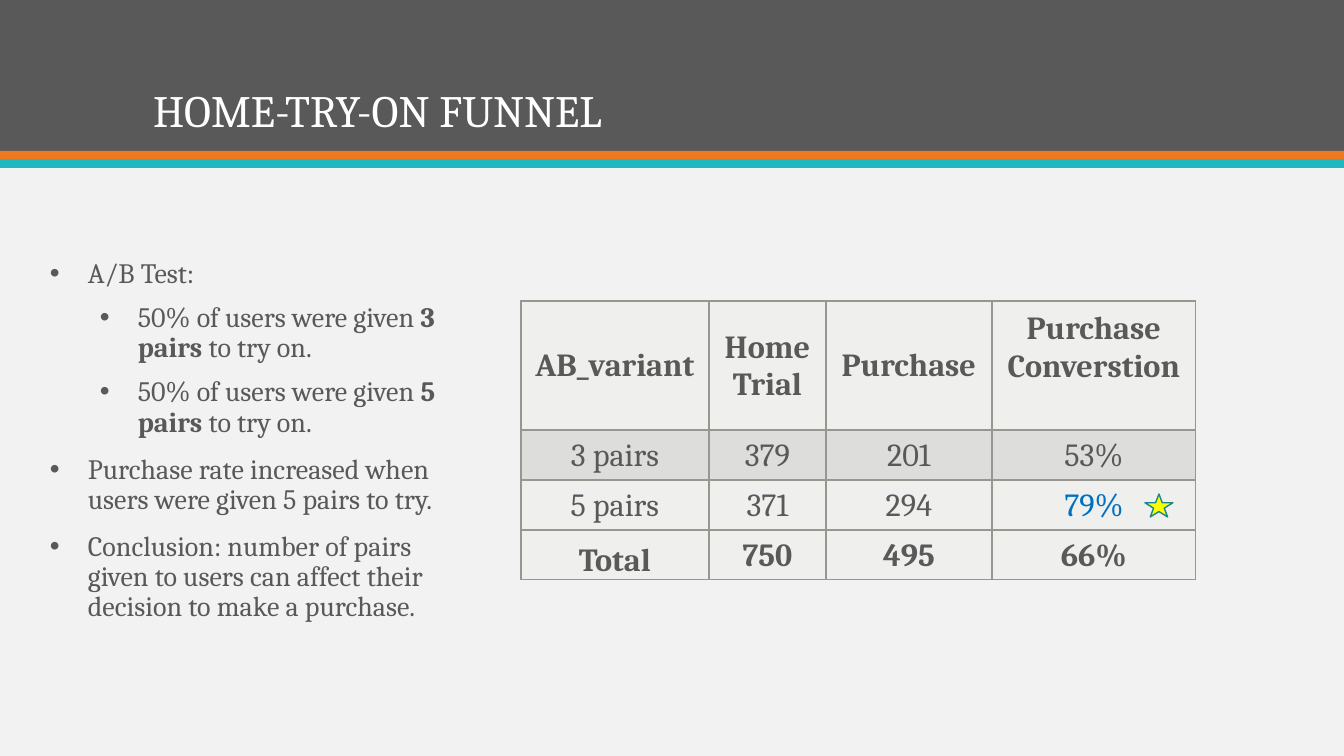
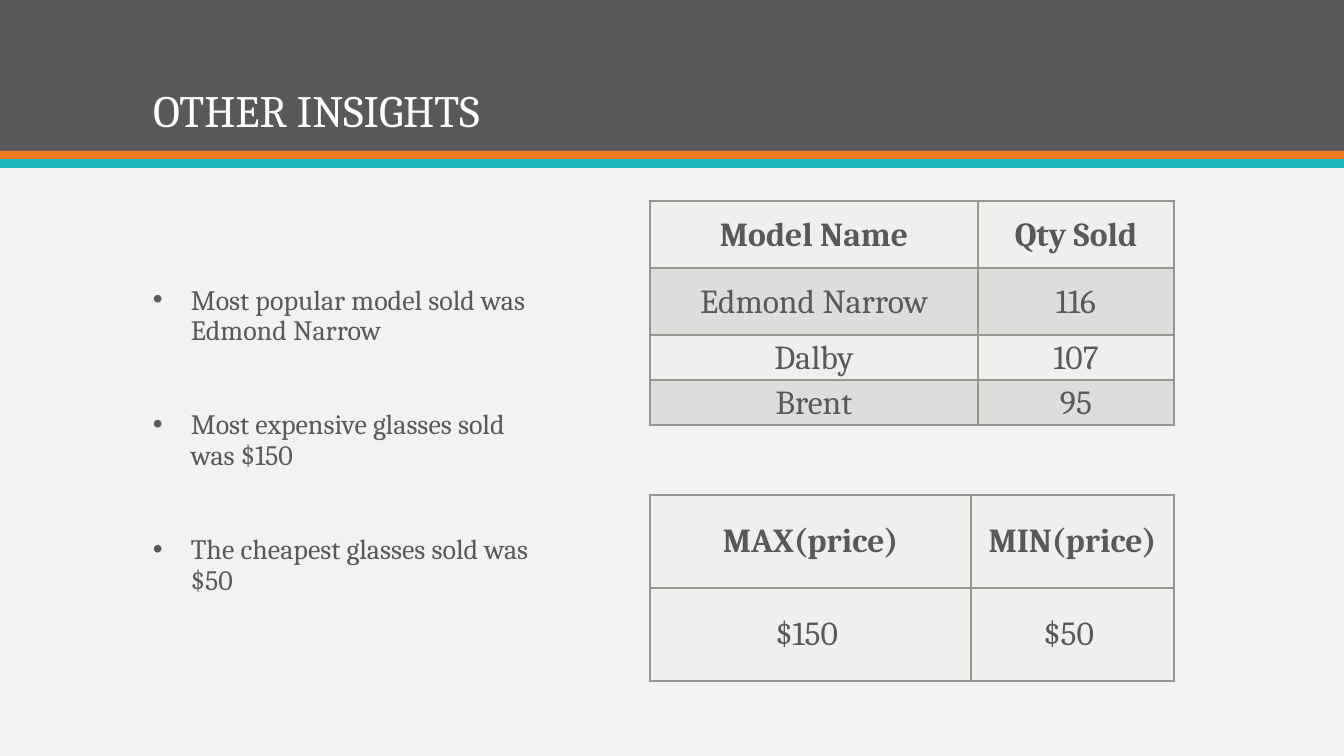
from dataclasses import dataclass

from lxml.etree import SubElement
from pptx import Presentation
from pptx.dml.color import RGBColor
from pptx.enum.shapes import MSO_SHAPE
from pptx.enum.text import MSO_ANCHOR, MSO_AUTO_SIZE, PP_ALIGN
from pptx.oxml.ns import qn
from pptx.util import Emu, Pt


@dataclass(frozen=True)
class Theme:
    font: str = "Cambria"
    background: str = "F2F2F2"
    ink: str = "595959"
    orange: str = "EF7920"
    teal: str = "1EB8C1"
    white: str = "FFFFFF"
    highlight: str = "0070C0"
    star: str = "FFFF00"
    star_edge: str = "16888F"
    grid: str = "969890"
    row_light: str = "EFEFEE"
    row_dark: str = "DDDDDB"
    title_size: int = 32
    body_size: int = 20
    line_spacing: float = 0.9


PX_PER_INCH = 100.8
WIDTH, HEIGHT = 1344, 756


def px(length):
    return Emu(round(length * 914400 / PX_PER_INCH))


def rgb(code):
    return RGBColor.from_string(code)


class Deck:
    def __init__(self, theme):
        self.theme = theme
        self.deck = Presentation()
        self.deck.slide_width = px(WIDTH)
        self.deck.slide_height = px(HEIGHT)
        self.layout = self.deck.slide_layouts.get_by_name("Title Only")
        self.page = None

    def add_page(self, title):
        self.page = self.deck.slides.add_slide(self.layout)
        if len(self.deck.slides) == 1:
            self.dress_layout()
        box = self.page.shapes.title
        box.left, box.top, box.width, box.height = map(px, (143, 28, 1058, 114))
        frame = box.text_frame
        frame.auto_size = MSO_AUTO_SIZE.NONE
        frame.vertical_anchor = MSO_ANCHOR.BOTTOM
        para = frame.paragraphs[0]
        para.alignment = PP_ALIGN.LEFT
        para.line_spacing = self.theme.line_spacing
        self.add_span(para, title, self.theme.title_size, self.theme.white)

    def dress_layout(self):
        theme = self.theme
        fill = self.layout.background.fill
        fill.solid()
        fill.fore_color.rgb = rgb(theme.background)
        bands = [(0, 151, theme.ink), (151, 8, theme.orange), (159, 9, theme.teal)]
        for position, (top, height, color) in enumerate(bands, start=2):
            band = self.add_shape(MSO_SHAPE.RECTANGLE, 0, top, WIDTH, height, color)
            self.layout.shapes.element.insert(position, band.element)

    def add_shape(self, kind, left, top, width, height, color, edge=None):
        shape = self.page.shapes.add_shape(kind, *map(px, (left, top, width, height)))
        shape.shadow.inherit = False
        shape.fill.solid()
        shape.fill.fore_color.rgb = rgb(color)
        if edge:
            shape.line.color.rgb = rgb(edge)
            shape.line.width = Pt(1)
        else:
            shape.line.fill.background()
        return shape

    def add_span(self, para, text, size, color, bold=False):
        span = para.add_run()
        span.text = text
        span.font.name = self.theme.font
        span.font.size = Pt(size)
        span.font.bold = bold
        span.font.color.rgb = rgb(color)

    def add_bullets(self, left, width, items, gap=12):
        box = self.page.shapes.add_textbox(*map(px, (left, 202, width, 478)))
        frame = box.text_frame
        frame.word_wrap = True
        frame.vertical_anchor = MSO_ANCHOR.MIDDLE
        for index, (level, spans) in enumerate(items):
            para = frame.add_paragraph() if index else frame.paragraphs[0]
            para.level = level
            para.line_spacing = self.theme.line_spacing
            para.space_before = Pt(10 if level else gap if index else 12)
            for text, bold in spans:
                self.add_span(para, text, self.theme.body_size, self.theme.ink, bold)
            properties = para._p.get_or_add_pPr()
            properties.set("marL", str(px(38 + 50 * level)))
            properties.set("indent", str(-px(38)))
            SubElement(properties, qn("a:buFont"), typeface="Arial")
            SubElement(properties, qn("a:buChar"), char="•")

    def add_table(self, left, top, widths, heights, rows, size, inset, total=False):
        frame = self.page.shapes.add_table(
            len(rows), len(widths), *map(px, (left, top, sum(widths), sum(heights))))
        table = frame.table
        table.first_row = table.horz_banding = False
        for column, width in zip(table.columns, widths):
            column.width = px(width)
        for index, (values, height) in enumerate(zip(rows, heights)):
            table.rows[index].height = px(height)
            is_total = total and index == len(rows) - 1
            color = self.theme.row_dark if index % 2 and not is_total else self.theme.row_light
            for column, text in enumerate(values):
                cell = table.cell(index, column)
                cell.fill.solid()
                cell.fill.fore_color.rgb = rgb(color)
                cell.vertical_anchor = MSO_ANCHOR.MIDDLE
                cell.margin_left = cell.margin_right = cell.margin_top = px(inset)
                cell.margin_bottom = 0
                self.add_borders(cell, 2 if is_total else 1)
                self.add_cell_text(cell, text, size, index == 0 or is_total)
        return table

    def add_cell_text(self, cell, text, size, bold, color=None):
        para = cell.text_frame.paragraphs[0]
        para.alignment = PP_ALIGN.CENTER
        for index, line in enumerate(text.split("\n")):
            if index:
                para.add_line_break()
            self.add_span(para, line, size, color or self.theme.ink, bold)

    def add_borders(self, cell, top_width):
        properties = cell._tc.get_or_add_tcPr()
        for position, side in enumerate("LRTB"):
            width = top_width if side == "T" else 1
            line = SubElement(properties, qn(f"a:ln{side}"), w=str(Pt(width)))
            fill = SubElement(line, qn("a:solidFill"))
            SubElement(fill, qn("a:srgbClr"), val=self.theme.grid)
            properties.insert(position, line)


def add_funnel(deck):
    theme = deck.theme
    deck.add_page("HOME-TRY-ON FUNNEL")
    given = "50% of users were given "
    deck.add_bullets(40, 434, [
        (0, [("A/B Test:", False)]),
        (1, [(given, False), ("3 pairs ", True), ("to try on.", False)]),
        (1, [(given, False), ("5 pairs ", True), ("to try on.", False)]),
        (0, [("Purchase rate increased when users were given 5 pairs to try.", False)]),
        (0, [("Conclusion: number of pairs given to users can affect their "
              "decision to make a purchase.", False)]),
    ])
    table = deck.add_table(521, 301, [188, 117, 166, 204], [129, 50, 50, 50], [
        ["AB_variant", "Home Trial", "Purchase", "Purchase\nConverstion"],
        ["3 pairs", "379", "201", "53%"],
        ["5 pairs", "371", "294", "79%"],
        ["Total", "750", "495", "66%"],
    ], size=23, inset=2, total=True)
    table.cell(0, 3).margin_bottom = px(37)
    table.cell(3, 0).vertical_anchor = MSO_ANCHOR.BOTTOM
    best_rate = table.cell(2, 3).text_frame.paragraphs[0].runs[0]
    best_rate.font.color.rgb = rgb(theme.highlight)
    deck.add_shape(MSO_SHAPE.STAR_5_POINT, 1145, 494, 28, 23, theme.star, theme.star_edge)


def add_insights(deck):
    deck.add_page("OTHER INSIGHTS")
    insights = [
        "Most popular model sold was Edmond Narrow",
        "Most expensive glasses sold was $150",
        "The cheapest glasses sold was $50",
    ]
    deck.add_bullets(143, 412, [(0, [(text, False)]) for text in insights], gap=46)
    deck.add_table(650, 201, [328, 196], [67, 67, 45, 45], [
        ["Model Name", "Qty Sold"],
        ["Edmond Narrow", "116"],
        ["Dalby", "107"],
        ["Brent", "95"],
    ], size=24, inset=3)
    prices = deck.add_table(650, 495, [321, 203], [93, 93], [
        ["MAX(price)", "MIN(price)"],
        ["$150 ", "$50 "],
    ], size=24, inset=1)
    for cell in prices.rows[1].cells:
        cell.fill.fore_color.rgb = rgb(deck.theme.row_light)


def main():
    deck = Deck(Theme())
    add_funnel(deck)
    add_insights(deck)
    deck.deck.save("out.pptx")


if __name__ == "__main__":
    main()
